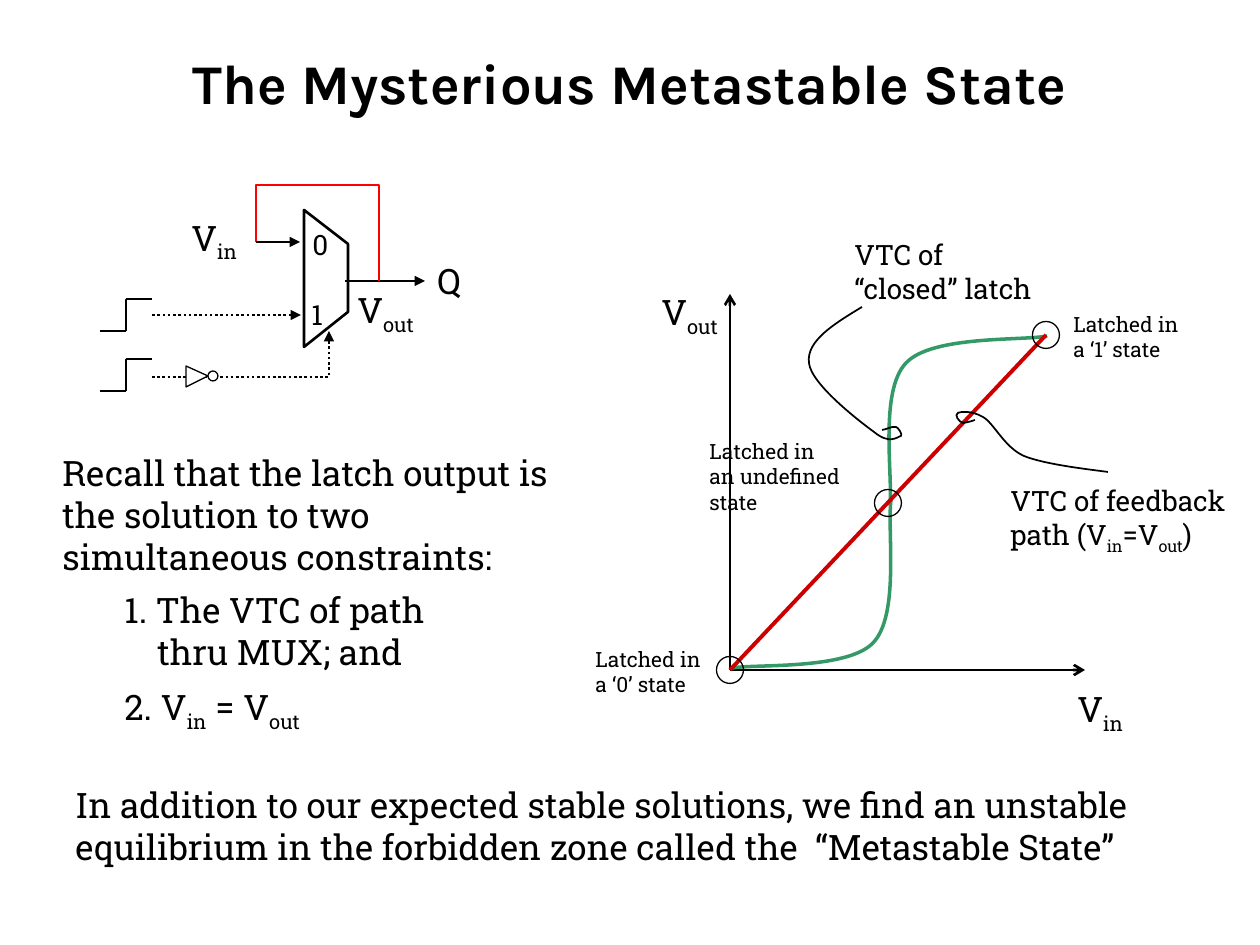
from itertools import pairwise
from lxml.etree import SubElement
from pptx import Presentation
from pptx.dml.color import RGBColor
from pptx.enum.dml import MSO_LINE as Dash
from pptx.enum.shapes import MSO_CONNECTOR as Link, MSO_SHAPE as Shape
from pptx.enum.text import MSO_ANCHOR as Anchor, MSO_AUTO_SIZE as Auto, PP_ALIGN as Align
from pptx.oxml.ns import qn
from pptx.util import Pt

HUES = {"ink": "000000", "paper": "FFFFFF", "green": "339966", "path": "CC0000", "loop": "FF0000"}
BODY = "Roboto Slab"
HEAD = "Karla"


def px(n):
    return round(n * 914400 / 126)


def hue(name):
    return RGBColor.from_string(HUES[name])


def shift(box, spot):
    return box[0] + spot[0], box[1] + spot[1]


def write(para, text, size, font=BODY, bold=False):
    for part, piece in enumerate(text.split("_")):
        for row, words in enumerate(piece.split("\n")):
            if row:
                para.add_line_break()
            if not words:
                continue
            run = para.add_run()
            run.text = words
            run.font.size = Pt(size)
            run.font.name = font
            run.font.bold = bold
            run.font.color.rgb = hue("ink")
            if part % 2:
                run._r.get_or_add_rPr().set("baseline", "-25000")


def label(box, spot, text, size, wrap=False, mid=False, hang=0):
    left, top = shift(box, spot)
    note = slide.shapes.add_textbox(px(left), px(top), px(spot[2]), px(spot[3]))
    frame = note.text_frame
    frame.word_wrap = wrap
    frame.auto_size = Auto.SHAPE_TO_FIT_TEXT
    frame.vertical_anchor = Anchor.MIDDLE if mid else Anchor.TOP
    para = frame.paragraphs[0]
    if hang:
        props = para._p.get_or_add_pPr()
        props.set("marL", str(px(hang)))
        props.set("indent", str(-px(hang)))
    write(para, text, size)


def stroke(item, color, width, tip=None, dash=None):
    line = item.line
    line.color.rgb = hue(color)
    line.width = Pt(width)
    if dash:
        line.dash_style = dash
    props = item._element.spPr
    if tip:
        SubElement(props.find(qn("a:ln")), qn("a:tailEnd")).set("type", tip)
    SubElement(props, qn("a:effectLst"))


def wire(box, start, end, color="ink", width=1.5, **style):
    ends = [px(n) for n in shift(box, start) + shift(box, end)]
    stroke(slide.shapes.add_connector(Link.STRAIGHT, *ends), color, width, **style)


def paint(item, fill):
    if fill:
        item.fill.solid()
        item.fill.fore_color.rgb = hue(fill)
    else:
        item.fill.background()


def trace(box, dots, color="ink", width=1.5, fill=None, close=False, curve=False, **style):
    spots = [tuple(px(n) for n in shift(box, dot)) for dot in dots]
    pen = slide.shapes.build_freeform(*spots[0])
    pen.add_line_segments(spots[1:], close=close)
    item = pen.convert_to_shape()
    if curve:
        bend(item)
    paint(item, fill)
    stroke(item, color, width, **style)


def bend(item):
    legs = list(item._element.iter(qn("a:lnTo")))
    for n in range(0, len(legs), 3):
        arc = SubElement(legs[n].getparent(), qn("a:cubicBezTo"))
        for leg in legs[n:n + 3]:
            arc.append(leg[0])
            leg.getparent().remove(leg)


def ring(box, center, size, fill=None):
    x, y = shift(box, center)
    item = slide.shapes.add_shape(Shape.OVAL, px(x - size / 2), px(y - size / 2), px(size), px(size))
    paint(item, fill)
    stroke(item, "ink", 0.75)


def title(box, text):
    head = slide.shapes.title
    head.left, head.top, head.width, head.height = map(px, box)
    head.text_frame.vertical_anchor = Anchor.MIDDLE
    para = head.text_frame.paragraphs[0]
    para.alignment = Align.CENTER
    write(para, text, 32, HEAD, True)


def graph(box):
    base, high, mid = (147, 439), (463, 104), (305, 272)
    wire(box, base, (502, 439), tip="arrow")
    wire(box, base, (147, 63), tip="arrow")
    low = [(149, 437), (172, 433), (264, 439), (290, 412), (317, 384), (304, 299), (308, 269)]
    top = [(464, 105), (441, 110), (349, 104), (323, 132), (296, 160), (310, 245), (307, 274)]
    for dots in (low, top):
        trace(box, dots, "green", 2, curve=True)
    closed = [(279, 76), (251, 93), (223, 110), (226, 132), (228, 153), (276, 190),
              (291, 201), (307, 214), (314, 206), (318, 205), (320, 204), (315, 196),
              (313, 196), (309, 195), (302, 199), (299, 199)]
    back = [(525, 241), (511, 239), (463, 234), (441, 225), (421, 216), (411, 192),
            (400, 186), (388, 179), (377, 181), (375, 182), (371, 184), (376, 191),
            (380, 192), (382, 192), (390, 190), (392, 189)]
    trace(box, closed, width=1, curve=True)
    wire(box, base, high, "path", 2.25)
    trace(box, back, width=1, curve=True)
    for center in (high, base, mid):
        ring(box, center, 27)
    for spot, text, size in (
        ((482, 453, 73, 55), "V_in_", 20),
        ((66, 56, 88, 55), "V_out_", 20),
        ((259, 0, 212, 81), "VTC of \n“closed” latch", 16),
        ((415, 248, 248, 81), "VTC of feedback\npath (V_in_=V_out_)", 16),
        ((0, 409, 136, 64), "Latched in\na ‘0’ state", 12),
        ((478, 74, 136, 64), "Latched in\na ‘1’ state", 12),
    ):
        label(box, spot, text, size, mid=True)
    label(box, (114, 201, 248, 89), "Latched in\nan undefined\nstate", 12, wrap=True, mid=True)


def latch(box):
    trace(box, [(204, 162), (248, 127), (248, 59), (204, 25)], close=True)
    wire(box, (245, 96), (325, 96), tip="triangle")
    wire(box, (52, 130), (201, 130), tip="triangle", dash=Dash.ROUND_DOT)
    gate(box)
    trace(box, [(279, 96), (279, 0), (156, 0), (156, 57)], "loop")
    wire(box, (156, 57), (200, 57), tip="triangle")
    for drop in (0, 60):
        step = [(0, 146), (26, 146), (26, 114), (52, 114)]
        for start, end in pairwise(step):
            wire(shift(box, (0, drop)), start, end, width=0.75)
    for spot, text, size in (
        ((200, 36, 44, 47), "0", 16),
        ((199, 106, 44, 47), "1", 16),
        ((325, 68, 54, 55), "Q", 20),
        ((245, 97, 88, 55), "V_out_", 20),
        ((79, 25, 73, 55), "V_in_", 20),
    ):
        label(box, spot, text, size)


def gate(box):
    trace(box, [(52, 192), (229, 192), (229, 146)], tip="triangle", dash=Dash.ROUND_DOT)
    trace(box, [(86, 181), (108, 191), (86, 202)], width=0.75, fill="paper", close=True)
    ring(box, (113, 191), 10, "paper")


def notes(box):
    label(box, (0, 0, 539, 139), "Recall that the latch output is the solution to two "
          "simultaneous constraints:", 20, wrap=True)
    label(box, (62, 137, 382, 97), "1. The VTC of path thru MUX; and", 20, wrap=True, hang=33)
    label(box, (62, 234, 382, 54), "2. V_in_ = V_out_", 20, wrap=True, hang=33)
    label(box, (13, 332, 1134, 97), "In addition to our expected stable solutions, we find an "
          "unstable equilibrium in the forbidden zone called the  “Metastable State”", 20, wrap=True)


deck = Presentation()
deck.slide_width, deck.slide_height = px(1260), px(945)
slide = deck.slides.add_slide(deck.slide_layouts[5])
title((63, 38, 1134, 88), "The Mysterious Metastable State")
graph((583, 231))
latch((100, 185))
notes((50, 445))
deck.save("out.pptx")
